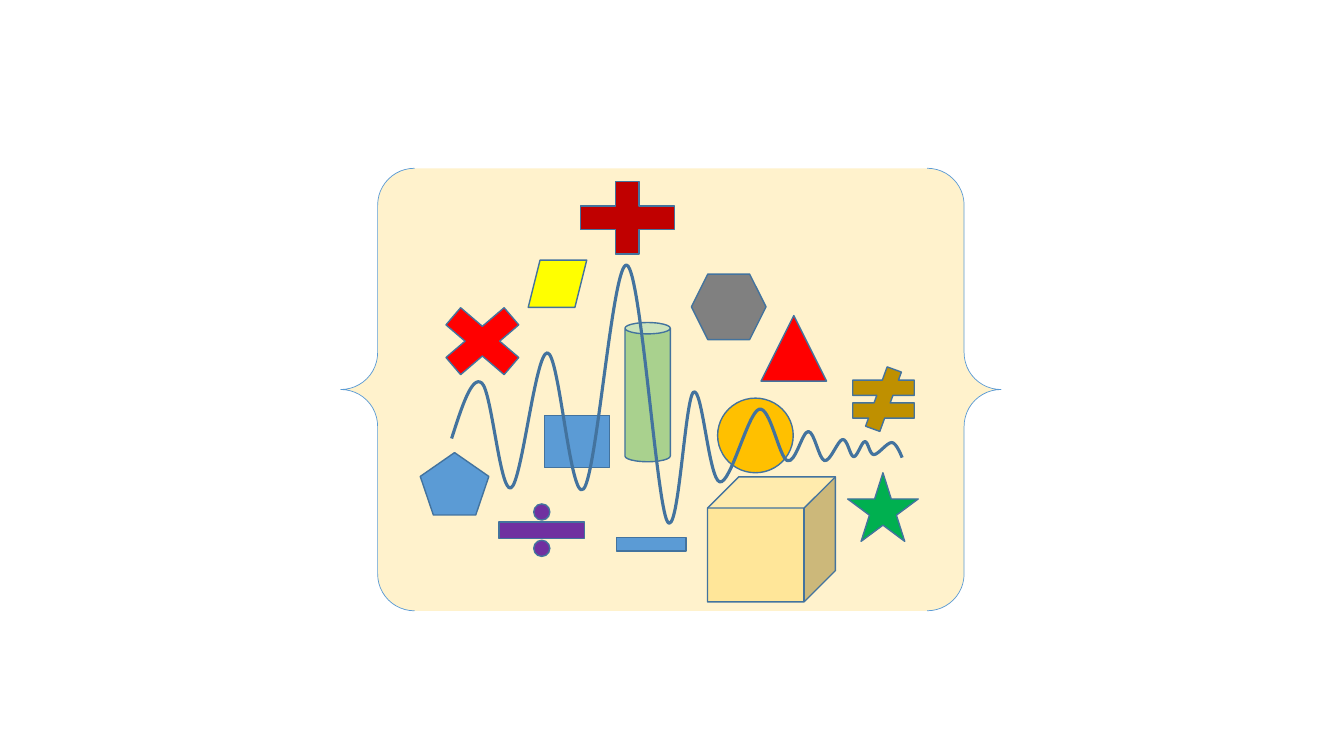
from lxml import etree
from pptx import Presentation
from pptx.dml.color import RGBColor
from pptx.enum.shapes import MSO_SHAPE as Kind
from pptx.oxml.ns import qn
from pptx.util import Pt

CREAM = RGBColor(0xFF, 0xF2, 0xCC)
BLUE = RGBColor(0x5B, 0x9B, 0xD5)
OUTLINE = RGBColor(0x43, 0x73, 0x9E)
RED = RGBColor(0xFF, 0x00, 0x00)
DARK_RED = RGBColor(0xC0, 0x00, 0x00)
GREY = RGBColor(0x80, 0x80, 0x80)
YELLOW = RGBColor(0xFF, 0xFF, 0x00)
PURPLE = RGBColor(0x70, 0x30, 0xA0)
BROWN = RGBColor(0xBF, 0x90, 0x00)
LIGHT_GREEN = RGBColor(0xA9, 0xD1, 0x8E)
SAND = RGBColor(0xFF, 0xE6, 0x99)
GOLD = RGBColor(0xFF, 0xC0, 0x00)
GREEN = RGBColor(0x00, 0xB0, 0x50)

presentation = Presentation()
presentation.slide_width = Pt(960)
presentation.slide_height = Pt(540)
slide = presentation.slides.add_slide(presentation.slide_layouts[6])
group = slide.shapes.add_group_shape()


def style_line(shape, color, width):
    shape.shadow.inherit = False
    shape.line.color.rgb = color
    shape.line.width = Pt(width)


figures = [
    (Kind.DOUBLE_BRACE, 243.4, 120.2, 471.6, 316.1, CREAM, BLUE, 0.5),
    (Kind.ISOSCELES_TRIANGLE, 543.6, 225.4, 46.8, 46.8, RED, OUTLINE, 1),
    (Kind.RECTANGLE, 388.8, 296.6, 46.8, 37.4, BLUE, OUTLINE, 1),
    (Kind.REGULAR_PENTAGON, 300.2, 323.3, 49, 44.6, BLUE, OUTLINE, 1),
    (Kind.HEXAGON, 493.9, 195.8, 53.3, 46.8, GREY, OUTLINE, 1),
    (Kind.PARALLELOGRAM, 377.3, 185.8, 41.8, 33.8, YELLOW, OUTLINE, 1),
    (Kind.MATH_PLUS, 402.5, 120.2, 91.4, 70.6, DARK_RED, OUTLINE, 1),
    (Kind.MATH_DIVIDE, 345.6, 354.2, 82.8, 49, PURPLE, OUTLINE, 1),
    (Kind.MATH_MULTIPLY, 304.6, 209.5, 79.9, 68.4, RED, OUTLINE, 1),
    (Kind.MATH_MINUS, 431.3, 368.6, 67.7, 40.3, BLUE, OUTLINE, 1),
    (Kind.MATH_NOT_EQUAL, 601.2, 262.1, 59.8, 46.1, BROWN, OUTLINE, 1),
    (Kind.CAN, 446.4, 230.4, 32.4, 99.4, LIGHT_GREEN, OUTLINE, 1),
    (Kind.CUBE, 505.4, 340.6, 91.4, 89.3, SAND, OUTLINE, 1),
    (Kind.OVAL, 512.6, 284.4, 54, 53.3, GOLD, OUTLINE, 1),
    (Kind.STAR_5_POINT, 605.5, 337.7, 50.4, 49, GREEN, OUTLINE, 1),
]
for kind, left, top, width, height, fill, line, weight in figures:
    shape = group.shapes.add_shape(kind, Pt(left), Pt(top), Pt(width), Pt(height))
    shape.fill.solid()
    shape.fill.fore_color.rgb = fill
    style_line(shape, line, weight)

wave_knots = [
    (3226, 3132), (3442, 2736), (3650, 3485), (3910, 2520), (4169, 3492),
    (4478, 1894), (4766, 3722), (4954, 2801), (5141, 3442), (5422, 2923),
    (5623, 3290), (5774, 3082), (5890, 3290), (6019, 3139), (6098, 3262),
    (6178, 3154), (6242, 3247), (6372, 3161), (6444, 3269),
]
builder = group.shapes.build_freeform(*wave_knots[0], scale=Pt(0.1))
builder.add_line_segments(wave_knots[1:], close=False)
wave = builder.convert_to_shape()
wave.fill.background()
style_line(wave, OUTLINE, 2.25)

# Each inner tangent is parallel to the chord between the neighbouring knots.
tangents = [(0, 0)]
for before, after in zip(wave_knots, wave_knots[2:]):
    tangents.append(((after[0] - before[0]) / 6, (after[1] - before[1]) / 6))
tangents.append((0, 0))

wave_left = min(x for x, y in wave_knots)
wave_top = min(y for x, y in wave_knots)
outline = wave._element.find(".//" + qn("a:path"))
for segment in outline.findall(qn("a:lnTo")):
    outline.remove(segment)
for index in range(len(wave_knots) - 1):
    start, end = wave_knots[index], wave_knots[index + 1]
    second = (end[0] - tangents[index + 1][0], end[1] - tangents[index + 1][1])
    if index == 0:
        first = ((start[0] + second[0]) / 2, (start[1] + second[1]) / 2)
    else:
        first = (start[0] + tangents[index][0], start[1] + tangents[index][1])
    curve = etree.SubElement(outline, qn("a:cubicBezTo"))
    for x, y in (first, second, end):
        point = etree.SubElement(curve, qn("a:pt"))
        point.set("x", str(round(x - wave_left)))
        point.set("y", str(round(y - wave_top)))

presentation.save("out.pptx")
